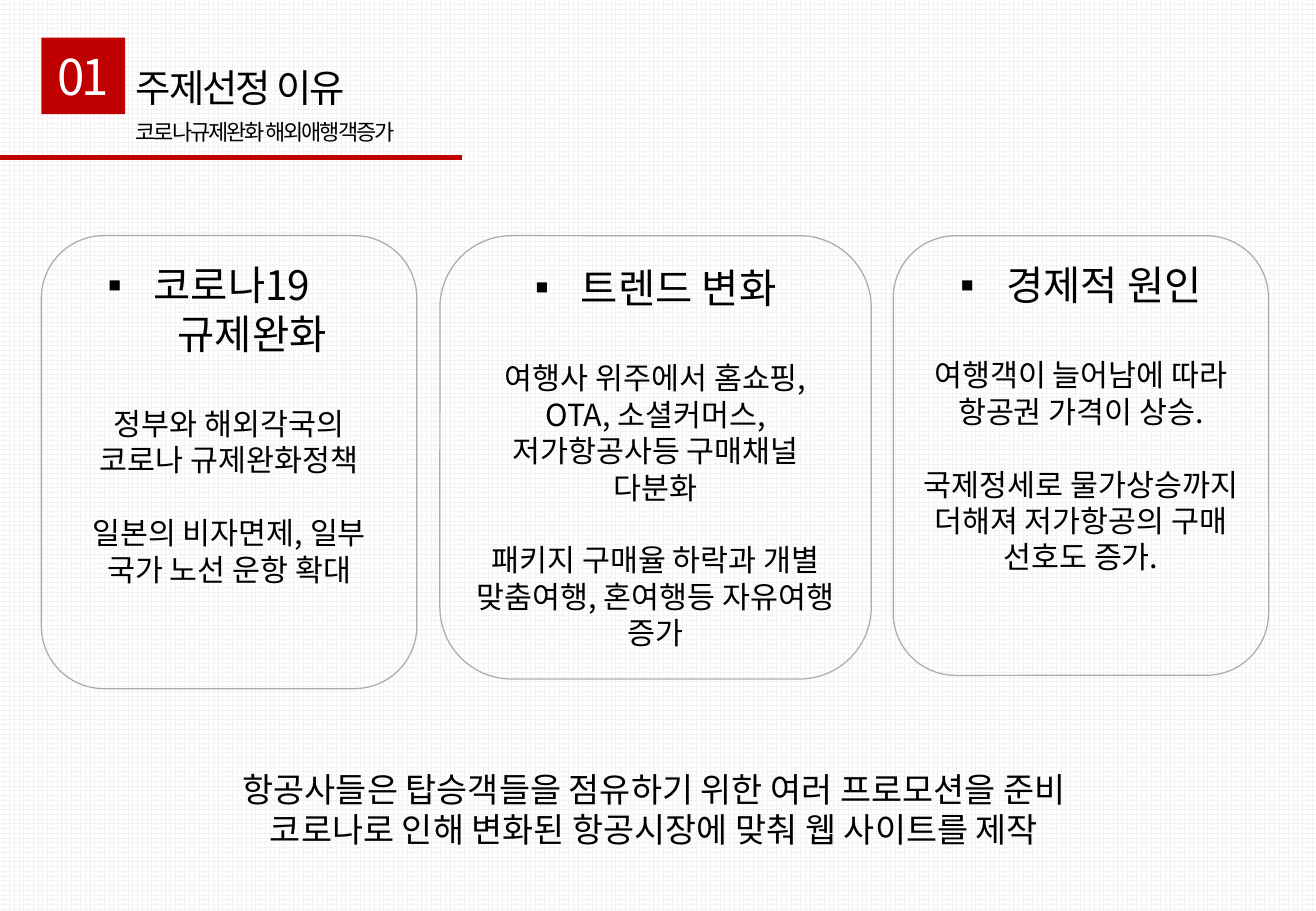
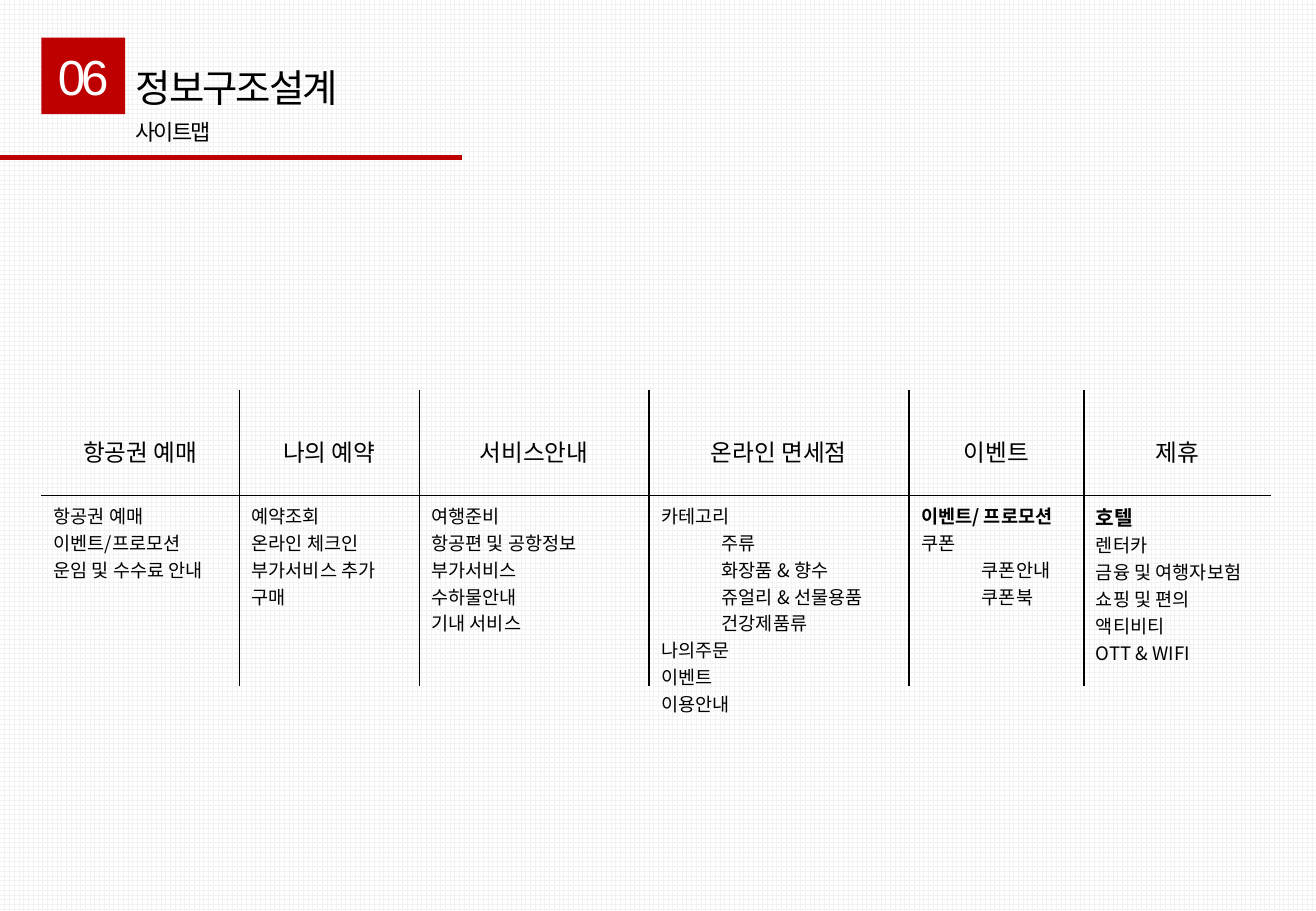
from lxml import etree
from pptx import Presentation
from pptx import util as u
from pptx.dml.color import RGBColor
from pptx.enum import dml, shapes, text
from pptx.oxml import ns

RED, BLACK, WHITE, GREY = "BE0000", "000000", "FFFFFF", "AFABAB"
NOTO = "Noto Sans CJK KR"
MID = text.PP_ALIGN.CENTER
INCH = u.Inches


def paint(color, value):
    color.rgb = RGBColor.from_string(value)


def put(item, **values):
    for name, value in values.items():
        setattr(item, name, value)


def sub(parent, tag, **values):
    return etree.SubElement(parent, ns.qn(tag), **values)


def write(par, words, size, color=BLACK, face=NOTO, bold=False, spc=0, **form):
    """Add one run to a paragraph and format both."""
    put(par, **form)
    run = par.add_run()
    run.text = words
    put(run.font, size=u.Pt(size), name=face, bold=bold)
    paint(run.font.color, color)
    props = run.font._element
    props.set("kern", "0")
    if spc:
        props.set("spc", str(round(spc * 100)))
    sub(props, "a:ea", typeface=NOTO)


def next_par(frame, index):
    return frame.add_paragraph() if index else frame.paragraphs[0]


def add_text(slide, box, lines, size, **form):
    frame = slide.shapes.add_textbox(*map(INCH, box)).text_frame
    frame.word_wrap = True
    for i, line in enumerate(lines):
        write(next_par(frame, i), line, size, **form)


def add_box(slide, kind, box, fill=None, line=None):
    shape = slide.shapes.add_shape(kind, *map(INCH, box))
    shape.shadow.inherit = False
    if fill:
        shape.fill.solid()
        paint(shape.fill.fore_color, fill)
    else:
        shape.fill.background()
    if line:
        paint(shape.line.color, line)
        shape.line.width = u.Pt(0.75)
    else:
        shape.line.fill.background()
    return shape


def add_head(slide, number, title, note, face):
    """Number badge, title, subtitle and red rule."""
    badge = add_box(slide, shapes.MSO_SHAPE.RECTANGLE, (0.34, 0.31, 0.69, 0.63), RED)
    frame = badge.text_frame
    put(frame, margin_left=INCH(0.08), margin_right=INCH(0.08),
        margin_top=INCH(0.04), margin_bottom=INCH(0.04), word_wrap=True,
        vertical_anchor=text.MSO_ANCHOR.MIDDLE)
    write(frame.paragraphs[0], number, 29.2, WHITE, face, spc=-2.4, alignment=MID)
    add_text(slide, (1.02, 0.48, 2.7, 0.48), [title], 22.8, face=face, spc=-1.2)
    add_text(slide, (1.02, 0.93, 2.7, 0.32), [note], 13, face=face, spc=-1.2)
    rule = slide.shapes.add_connector(
        shapes.MSO_CONNECTOR.STRAIGHT, 0, INCH(1.3), INCH(3.8), INCH(1.3))
    paint(rule.line.color, RED)
    rule.line.width = u.Pt(3)
    sub(rule._element.spPr, "a:effectLst")


def add_card(slide, box, title, parts):
    """Rounded card with a bulleted title and centred body parts."""
    card = add_box(slide, shapes.MSO_SHAPE.ROUNDED_RECTANGLE, box, line=GREY)
    frame = card.text_frame
    put(frame, word_wrap=True, vertical_anchor=text.MSO_ANCHOR.TOP)
    head = frame.paragraphs[0]
    props = head._p.get_or_add_pPr()
    hang = INCH(0.38)
    props.set("marL", str(hang))
    props.set("indent", str(-hang))
    sub(props, "a:buFont", typeface="Arial")
    sub(props, "a:buChar", char="▪")
    write(head, title, 24, alignment=MID, space_after=u.Pt(28.5))
    for i, part in enumerate(parts):
        gap = u.Pt(21.5 if i < len(parts) - 1 else 0)
        write(frame.add_paragraph(), part, 18, alignment=MID, space_after=gap)


def edge(cell, side, shown):
    """Draw or clear one border of a cell."""
    line = sub(cell._tc.get_or_add_tcPr(), "a:ln" + side, w=str(u.Pt(1)))
    if shown:
        sub(sub(line, "a:solidFill"), "a:srgbClr", val=BLACK)
    else:
        sub(line, "a:noFill")


def add_map(slide, left, top, cols, rows):
    """Site map: one column for each menu, with its pages below."""
    shape = slide.shapes.add_table(
        2, len(cols), INCH(left), INCH(top),
        INCH(sum(width for width, _, _ in cols)), INCH(sum(rows)))
    table = shape.table
    put(table, first_row=False, horz_banding=False)
    for row, high in zip(table.rows, rows):
        row.height = INCH(high)
    for c, (width, title, pages) in enumerate(cols):
        table.columns[c].width = INCH(width)
        for r in range(2):
            cell = table.cell(r, c)
            for side, shown in (("L", c > 0), ("R", c < len(cols) - 1),
                                ("T", r == 1), ("B", r == 0)):
                edge(cell, side, shown)
            cell.fill.background()
        top_cell = table.cell(0, c)
        top_cell.vertical_anchor = text.MSO_ANCHOR.MIDDLE
        write(top_cell.text_frame.paragraphs[0], title, 14,
              alignment=MID, line_spacing=1.5)
        frame = table.cell(1, c).text_frame
        for i, page in enumerate(pages):
            words, level, size, bold = (page + (0, 11, False)[len(page) - 1:]
                                        if isinstance(page, tuple)
                                        else (page, 0, 11, False))
            par = next_par(frame, i)
            if level:
                par._p.get_or_add_pPr().set("marL", str(INCH(0.5)))
            write(par, words, size, bold=bold, level=level)


CARDS = [
    (0.34, 3.09, 3.73, "코로나19 \t규제완화",
     ["정부와 해외각국의 코로나 규제완화정책",
      "일본의 비자면제, 일부 국가 노선 운항 확대"]),
    (3.62, 3.55, 3.65, "트렌드 변화",
     ["여행사 위주에서 홈쇼핑, OTA, 소셜커머스, 저가항공사등 구매채널 다분화",
      "패키지 구매율 하락과 개별 맞춤여행, 혼여행등 자유여행 증가"]),
    (7.35, 3.09, 3.62, "경제적 원인",
     ["여행객이 늘어남에 따라 항공권 가격이 상승.",
      "국제정세로 물가상승까지 더해져 저가항공의 구매 선호도 증가."]),
]
# A page is its words, or (words, level, size, bold)
MENUS = [
    (1.63, "항공권 예매", ["항공권 예매", "이벤트/프로모션", "운임 및 수수료 안내"]),
    (1.48, "나의 예약", ["예약조회", "온라인 체크인", "부가서비스 추가 구매"]),
    (1.89, "서비스안내",
     ["여행준비", "항공편 및 공항정보", "부가서비스", "수하물안내", "기내 서비스"]),
    (2.14, "온라인 면세점",
     ["카테고리", ("주류", 1), ("화장품 & 향수", 1), ("쥬얼리 & 선물용품", 1),
      ("건강제품류", 1), "나의주문", "이벤트", "이용안내"]),
    (1.44, "이벤트",
     [("이벤트/ 프로모션", 0, 11, True), "쿠폰", ("쿠폰안내", 1), ("쿠폰북", 1)]),
    (1.54, "제휴",
     [("호텔", 0, 12, True), "렌터카", "금융 및 여행자보험", "쇼핑 및 편의",
      "액티비티", "OTT & WIFI"]),
]


def main():
    deck = Presentation()
    put(deck, slide_width=INCH(10.83), slide_height=INCH(7.5))
    # Shared grid background
    back = deck.slide_master.background.fill
    back.patterned()
    back.pattern = dml.MSO_PATTERN.LARGE_GRID
    paint(back.fore_color, "F2F2F2")
    paint(back.back_color, WHITE)
    blank = deck.slide_layouts[6]

    # Reasons for the topic
    slide = deck.slides.add_slide(blank)
    add_head(slide, "01", "주제선정 이유", "코로나규제완화 해외애행객증가", NOTO)
    for left, wide, high, title, parts in CARDS:
        add_card(slide, (left, 1.94, wide, high), title, parts)
    add_text(slide, (0.5, 6.28, 9.77, 0.77),
             ["항공사들은 탑승객들을 점유하기 위한 여러 프로모션을 준비",
              "코로나로 인해 변화된 항공시장에 맞춰 웹 사이트를 제작"],
             20, alignment=MID)

    # Site map
    slide = deck.slides.add_slide(blank)
    add_head(slide, "06", "정보구조설계", "사이트맵", "Arial")
    add_map(slide, 0.34, 3.21, MENUS, (0.87, 1.57))
    deck.save("out.pptx")


if __name__ == "__main__":
    main()
